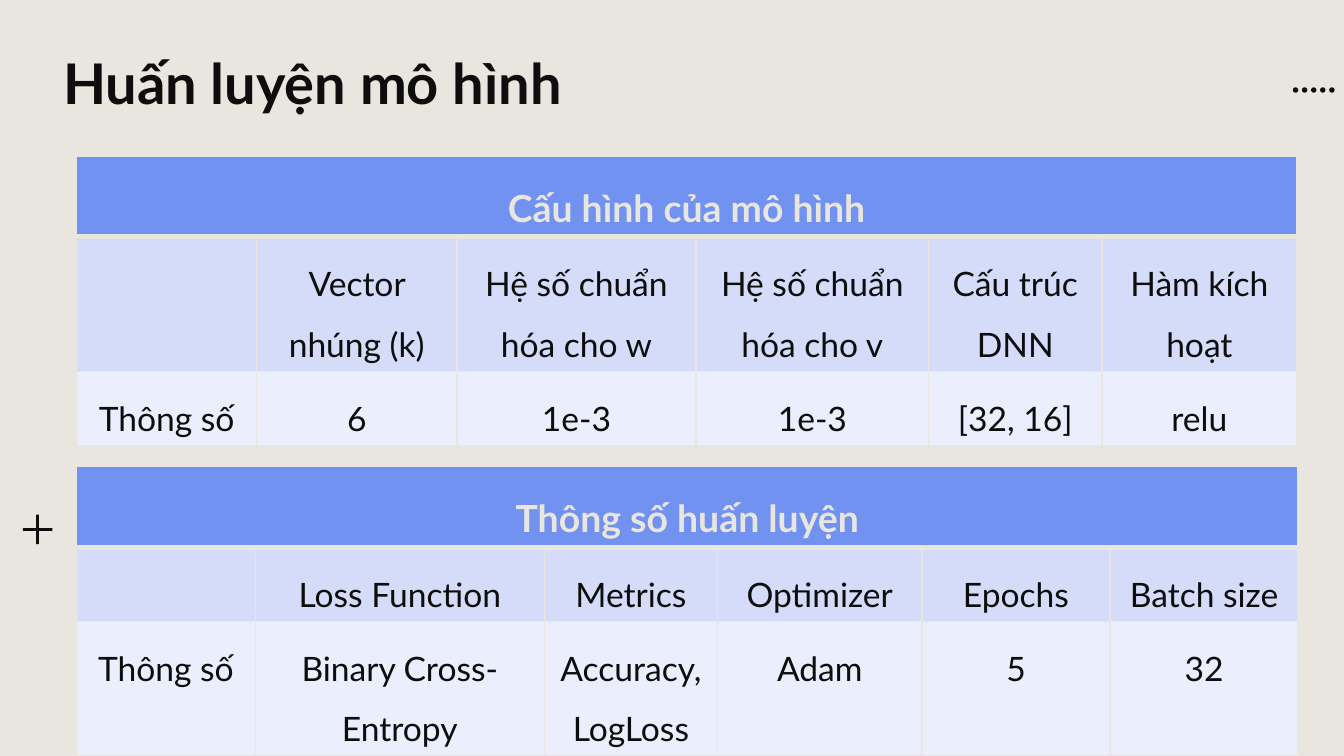
from lxml import etree
from pptx import Presentation
from pptx.dml.color import RGBColor
from pptx.enum.shapes import MSO_SHAPE as Shape
from pptx.enum.text import MSO_ANCHOR as Anchor, PP_ALIGN as Align
from pptx.oxml.ns import qn
from pptx.util import Inches, Pt

INK = RGBColor(0x0D, 0x0D, 0x0D)
SAND = RGBColor(0xE9, 0xE5, 0xDF)
BLUE = RGBColor(0x72, 0x92, 0xF2)
LILAC = RGBColor(0xD5, 0xDC, 0xFA)
PALE = RGBColor(0xEB, 0xEE, 0xFC)
FONT = "Lato"
TABLE_LEFT, ROW_HEIGHT = 0.57, 0.41


def add_mark(page, kind, left, top, size):
    mark = page.shapes.add_shape(kind, Inches(left), Inches(top), Inches(size), Inches(size))
    mark.shadow.inherit = False
    mark.fill.solid()
    mark.fill.fore_color.rgb = INK
    mark.line.fill.background()
    return mark


def format_cell(cell, fill, size, color, bold, bottom_width):
    cell.fill.solid()
    cell.fill.fore_color.rgb = fill
    para = cell.text_frame.paragraphs[0]
    para.alignment = Align.CENTER
    para.line_spacing = 1.5
    for span in para.runs:
        span.font.name = FONT
        span.font.size = Pt(size)
        span.font.bold = bold
        span.font.color.rgb = color
    # Borders come before the fill in the cell properties
    properties = cell._tc.get_or_add_tcPr()
    widths = {"a:lnL": 1, "a:lnR": 1, "a:lnT": 1, "a:lnB": bottom_width}
    for place, (side, width) in enumerate(widths.items()):
        border = etree.Element(qn(side), w=str(Pt(width)))
        solid = etree.SubElement(border, qn("a:solidFill"))
        etree.SubElement(solid, qn("a:srgbClr"), val=str(SAND))
        properties.insert(place, border)


# Widescreen page, 16 by 9
deck = Presentation()
deck.slide_width = Inches(10)
deck.slide_height = deck.slide_width * 9 // 16
page = deck.slides.add_slide(deck.slide_layouts[5])
page.background.fill.solid()
page.background.fill.fore_color.rgb = SAND

# Ornaments: a thin plus and a row of dots
plus = add_mark(page, Shape.MATH_PLUS, 0.13, 3.79, 0.3)
plus.adjustments[0] = 0.069
for dot in range(5):
    add_mark(page, Shape.OVAL, 9.62 + dot * 0.27 / 4, 0.65, 0.04)

# Title
title = page.shapes.title
title.left, title.top = Inches(0.37), Inches(0.31)
title.width, title.height = Inches(7.44), Inches(0.61)
title.text_frame.text = "Huấn luyện mô hình"
title.text_frame.vertical_anchor = Anchor.TOP
para = title.text_frame.paragraphs[0]
para.alignment = Align.LEFT
font = para.runs[0].font
font.name, font.size, font.bold = FONT, Pt(30), True
font.color.rgb = INK

# Tables: top, column widths, then the rows under a merged heading
tables = [
    (3.47, [1.33, 2.15, 1.29, 1.52, 1.4, 1.4], [
        ["Thông số huấn luyện"],
        ["", "Loss Function", "Metrics", "Optimizer", "Epochs", "Batch size"],
        ["Thông số", "Binary Cross-Entropy", "Accuracy, LogLoss", "Adam", "5", "32"],
    ]),
    (1.16, [1.34, 1.49, 1.78, 1.73, 1.29, 1.45], [
        ["Cấu hình của mô hình"],
        ["", "Vector nhúng (k)", "Hệ số chuẩn hóa cho w", "Hệ số chuẩn hóa cho v",
         "Cấu trúc DNN", "Hàm kích hoạt"],
        ["Thông số", "6", "1e-3", "1e-3", "[32, 16]", "relu"],
    ]),
]
row_styles = [(BLUE, 20, SAND, True, 3), (LILAC, 18, INK, False, 1), (PALE, 18, INK, False, 1)]

for top, widths, rows in tables:
    table = page.shapes.add_table(
        len(rows), len(widths), Inches(TABLE_LEFT), Inches(top),
        Inches(sum(widths)), Inches(ROW_HEIGHT * len(rows))).table
    for column, width in zip(table.columns, widths):
        column.width = Inches(width)
    table.cell(0, 0).merge(table.cell(0, len(widths) - 1))
    for row, texts, style in zip(table.rows, rows, row_styles):
        row.height = Inches(ROW_HEIGHT)
        for cell, text in zip(row.cells, texts):
            cell.text_frame.text = text
        for cell in row.cells:
            format_cell(cell, *style)

deck.save("out.pptx")
